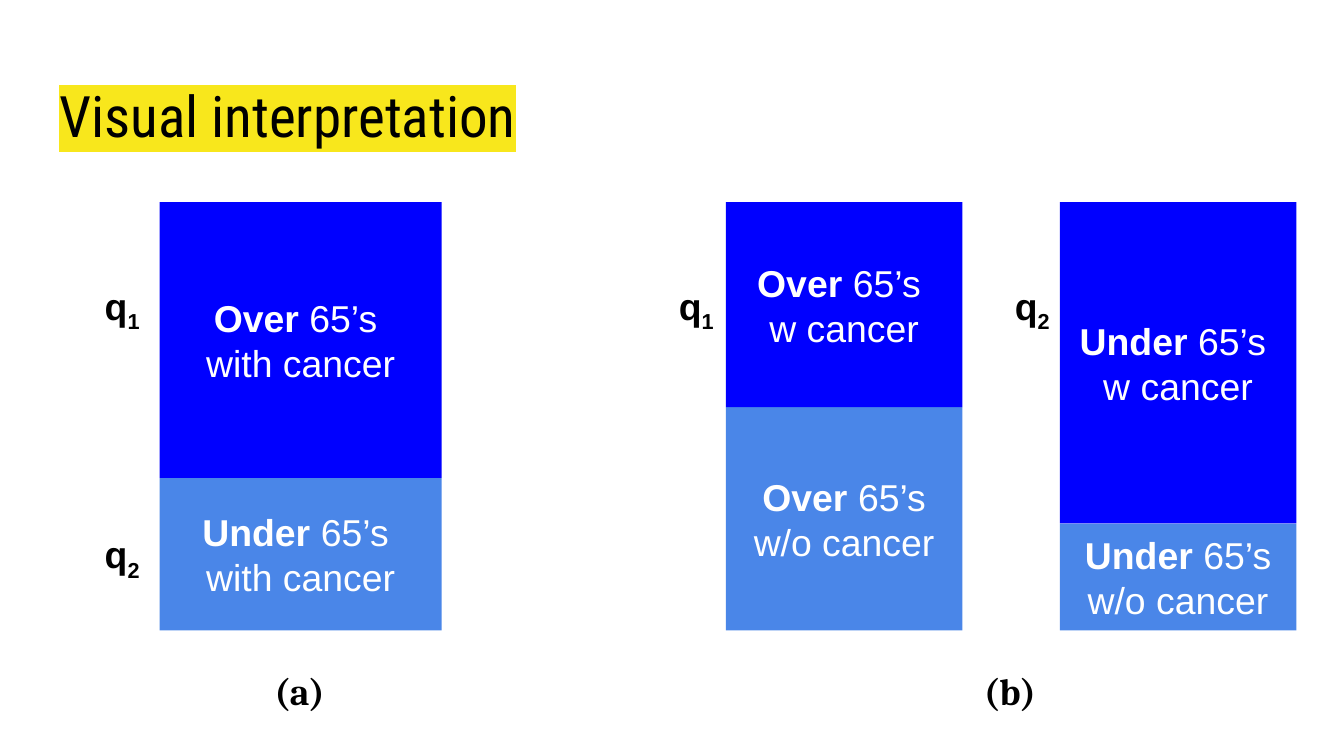
from dataclasses import dataclass

from lxml import etree
from pptx import Presentation
from pptx.dml.color import RGBColor
from pptx.enum.shapes import MSO_SHAPE
from pptx.enum.text import MSO_ANCHOR, MSO_AUTO_SIZE, PP_ALIGN
from pptx.oxml.ns import qn
from pptx.util import Cm, Pt

RECTANGLE = MSO_SHAPE.RECTANGLE
TOP, MIDDLE = MSO_ANCHOR.TOP, MSO_ANCHOR.MIDDLE
LEFT, CENTER = PP_ALIGN.LEFT, PP_ALIGN.CENTER
NO_AUTOFIT, GROW = MSO_AUTO_SIZE.NONE, MSO_AUTO_SIZE.SHAPE_TO_FIT_TEXT
TITLE_ONLY = 5


@dataclass(frozen=True)
class Theme:
    upper: str = "0000FF"
    lower: str = "4A86E8"
    on_bar: str = "FFFFFF"
    ink: str = "000000"
    marker: str = "F8E71C"
    title_font: str = "Roboto Condensed"
    body_font: str = "Arial"
    caption_font: str = "Cambria"
    title_size: float = 30.6
    body_size: float = 20
    inset: float = 0.25


def add_run(paragraph, text, *, font, size, color, bold=False,
            highlight=None, baseline=None):
    """Append a run; baseline is in thousandths of a percent."""
    run = paragraph.add_run()
    run.text = text
    run.font.name = font
    run.font.size = Pt(size)
    run.font.bold = bold
    run.font.color.rgb = RGBColor.from_string(color)
    properties = run.font._element
    if baseline is not None:
        properties.set("baseline", str(baseline))
    if highlight:
        mark = etree.Element(qn("a:highlight"))
        etree.SubElement(mark, qn("a:srgbClr")).set("val", highlight)
        properties.find(qn("a:solidFill")).addnext(mark)


class SlideBuilder:
    def __init__(self, slide, theme):
        self.slide = slide
        self.theme = theme

    def prepare(self, frame, anchor, autosize):
        """Set wrapping, insets and anchor, and return the first paragraph."""
        frame.word_wrap = True
        frame.auto_size = autosize
        frame.vertical_anchor = anchor
        inset = Cm(self.theme.inset)
        frame.margin_left = frame.margin_right = inset
        frame.margin_top = frame.margin_bottom = inset
        return frame.paragraphs[0]

    def title(self, text, left, top, width, height):
        heading = self.slide.shapes.title
        heading.left, heading.top = Cm(left), Cm(top)
        heading.width, heading.height = Cm(width), Cm(height)
        line = self.prepare(heading.text_frame, TOP, NO_AUTOFIT)
        line.alignment = LEFT
        add_run(line, text, font=self.theme.title_font,
                size=self.theme.title_size, color=self.theme.ink,
                highlight=self.theme.marker)

    def segment(self, lines, fill, left, top, width, height):
        """Draw one part of a bar; each line is a (bold, regular) pair."""
        block = self.slide.shapes.add_shape(
            RECTANGLE, Cm(left), Cm(top), Cm(width), Cm(height))
        block.shadow.inherit = False
        block.fill.solid()
        block.fill.fore_color.rgb = RGBColor.from_string(fill)
        block.line.fill.background()
        frame = block.text_frame
        paragraph = self.prepare(frame, MIDDLE, NO_AUTOFIT)
        for index, (strong, regular) in enumerate(lines):
            if index:
                paragraph = frame.add_paragraph()
            paragraph.alignment = CENTER
            for text, bold in ((strong, True), (regular, False)):
                if text:
                    add_run(paragraph, text, font=self.theme.body_font,
                            size=self.theme.body_size,
                            color=self.theme.on_bar, bold=bold)

    def bar(self, left, width, top, split, bottom, upper_lines, lower_lines):
        self.segment(lower_lines, self.theme.lower,
                     left, split, width, bottom - split)
        self.segment(upper_lines, self.theme.upper,
                     left, top, width, split - top)

    def label(self, text, left, top, width, font, subscript=None):
        box = self.slide.shapes.add_textbox(
            Cm(left), Cm(top), Cm(width), Cm(1.37))
        line = self.prepare(box.text_frame, TOP, GROW)
        style = dict(font=font, size=self.theme.body_size,
                     color=self.theme.ink, bold=True)
        add_run(line, text, **style)
        if subscript:
            add_run(line, subscript, baseline=-25000, **style)


def main():
    theme = Theme()
    deck = Presentation()
    deck.slide_width, deck.slide_height = Cm(25.4), Cm(14.28)
    slide = deck.slides.add_slide(deck.slide_layouts[TITLE_ONLY])
    builder = SlideBuilder(slide, theme)
    builder.title("Visual interpretation", 0.87, 1.27, 23.67, 1.6)

    bar_top, bar_bottom = 3.82, 11.91
    bars = [
        (3.02, 5.33, 9.03,
         [("Over", " 65’s "), ("", "with cancer")],
         [("Under", " 65’s "), ("", "with cancer")]),
        (13.72, 4.47, 7.69,
         [("Over", " 65’s "), ("", "w cancer")],
         [("Over ", "65’s w/o cancer")]),
        (20.03, 4.47, 9.89,
         [("Under", " 65’s "), ("", "w cancer")],
         [("Under ", "65’s w/o cancer")]),
    ]
    for left, width, split, upper_lines, lower_lines in bars:
        builder.bar(left, width, bar_top, split, bar_bottom,
                    upper_lines, lower_lines)

    upper_row, lower_row = 5.09, 9.79
    for subscript, left, top in [("1", 1.73, upper_row), ("2", 18.93, upper_row),
                                 ("1", 12.58, upper_row), ("2", 1.73, lower_row)]:
        builder.label("q", left, top, 1.22, theme.body_font, subscript)

    for caption, left, width in [("(a)", 4.94, 1.55), ("(b)", 18.35, 1.8)]:
        builder.label(caption, left, 12.37, width, theme.caption_font)

    deck.save("out.pptx")


if __name__ == "__main__":
    main()
